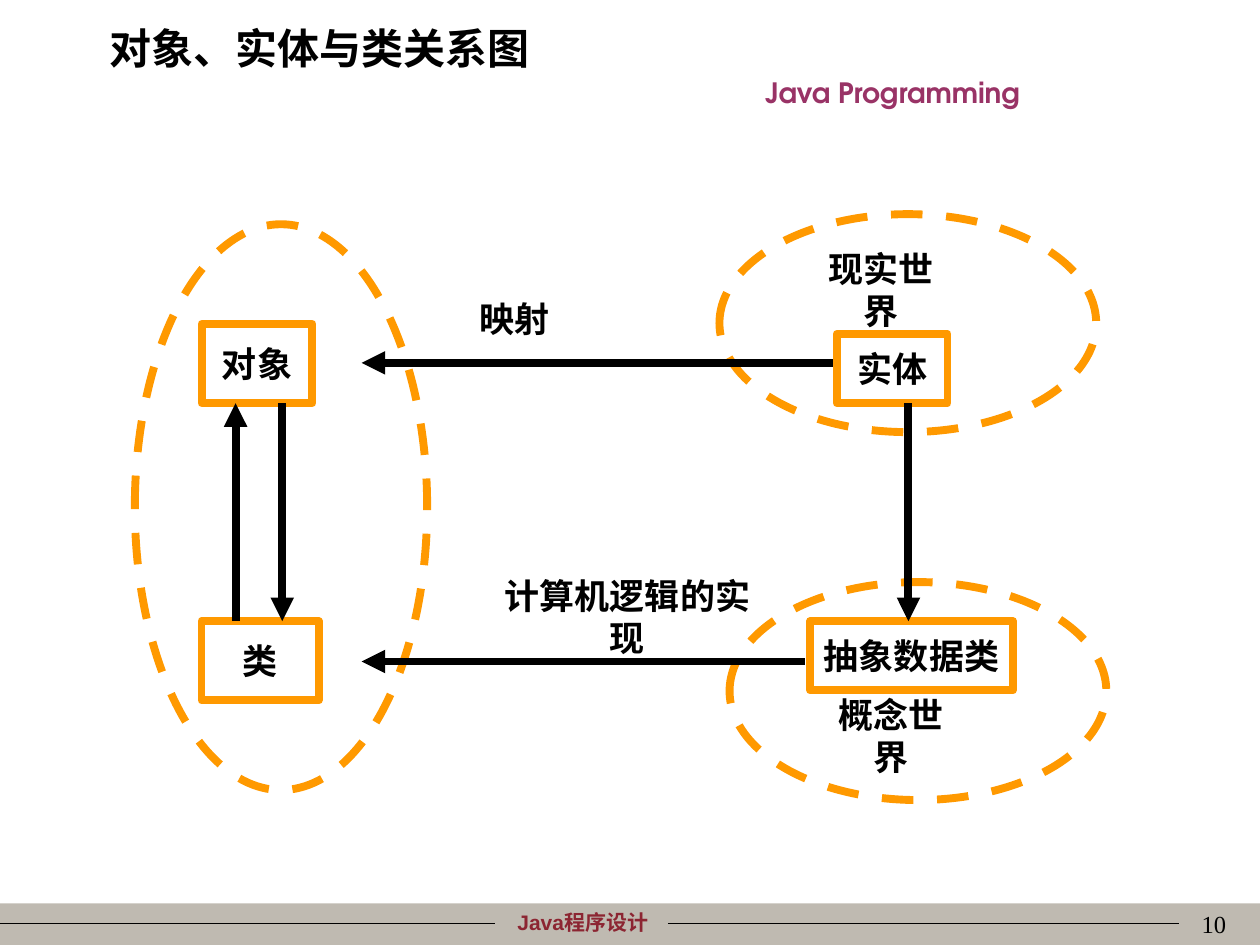
from lxml import etree
from pptx import Presentation
from pptx.dml.color import RGBColor
from pptx.enum.dml import MSO_LINE
from pptx.enum.shapes import MSO_CONNECTOR, MSO_SHAPE
from pptx.enum.text import MSO_ANCHOR, PP_ALIGN
from pptx.oxml.ns import qn
from pptx.util import Inches, Pt

STRAIGHT = MSO_CONNECTOR.STRAIGHT
OVAL, RECT = MSO_SHAPE.OVAL, MSO_SHAPE.RECTANGLE
DASH, MIDDLE = MSO_LINE.DASH, MSO_ANCHOR.MIDDLE
LEFT, CENTER, RIGHT = PP_ALIGN.LEFT, PP_ALIGN.CENTER, PP_ALIGN.RIGHT

CJK, SERIF = "Noto Sans CJK SC", "Times New Roman"
BLACK, ORANGE = "000000", "FF9900"
THICK, THIN = 4.5, 0.75

FOOTER_BAND = (0, 7.17, 10, 0.33)
FOOTER_RULES = [(0, 3.93), (5.3, 9.36)]
FOOTER_RULE_Y = 7.33
FRAME_TEXTS = [
    ("Java程序设计", (3.62, 7.17, 2.01, 0.3),
     dict(size=12, font="Arial", color="8C2532")),
    ("Java Programming", (5.08, 0.55, 4.01, 0.37),
     dict(size=16, font="TeX Gyre Adventor", color="993366")),
    ("10", (7.75, 7.17, 2.08, 0.33), dict(size=14, bold=False, align=RIGHT)),
    ("对象、实体与类关系图", (0.77, 0.13, 8.5, 0.5),
     dict(size=24, font=CJK, align=LEFT)),
]
WORLDS = [(5.79, 4.62, 2.99, 1.73), (5.71, 1.7, 2.99, 1.73), (1.07, 1.78, 2.32, 4.49)]
NODES = [
    ("抽象数据类", (6.43, 4.93, 1.61, 0.55)),
    ("实体", (6.64, 2.65, 0.88, 0.55)),
    ("对象", (1.6, 2.57, 0.88, 0.63)),
    ("类", (1.6, 4.93, 0.93, 0.63)),
]
LABELS = [
    ("概念世界", (6.43, 5.56, 1.28, 0.55)),
    ("现实世界", (6.35, 2.02, 1.28, 0.55)),
    ("计算机逻辑的实现", (3.77, 4.62, 2.42, 0.55)),
    ("映射", (3.69, 2.25, 0.79, 0.55)),
]
ARROWS = [
    ((7.21, 3.2), (7.21, 4.93)),
    ((2.24, 3.2), (2.24, 4.93)),
    ((1.87, 4.93), (1.87, 3.2)),
    ((6.39, 5.25), (2.87, 5.25)),
    ((6.61, 2.88), (2.87, 2.88)),
]


def rgb(color):
    """Return the colour of a hex string."""
    return RGBColor.from_string(color)


def write(shape, text, size=20, font=SERIF, color=BLACK, bold=True, align=CENTER, wrap=True):
    """Put one formatted paragraph into a shape."""
    frame = shape.text_frame
    frame.word_wrap = wrap
    frame.vertical_anchor = MIDDLE
    paragraph = frame.paragraphs[0]
    paragraph.alignment = align
    run = paragraph.add_run()
    run.text = text
    run.font.size, run.font.bold, run.font.name = Pt(size), bold, font
    run.font.color.rgb = rgb(color)
    etree.SubElement(run.font._element, qn("a:ea"), typeface=CJK)


def add_text(slide, text, place, **style):
    """Add a text box."""
    write(slide.shapes.add_textbox(*map(Inches, place)), text, **style)


def add_outline(slide, kind, place, fill=None, line=None, dash=None):
    """Add a preset shape with optional fill and outline."""
    shape = slide.shapes.add_shape(kind, *map(Inches, place))
    shape.shadow.inherit = False
    if fill:
        shape.fill.solid()
        shape.fill.fore_color.rgb = rgb(fill)
    else:
        shape.fill.background()
    if line:
        shape.line.color.rgb = rgb(line)
        shape.line.width = Pt(THICK)
        shape.line.dash_style = dash
    else:
        shape.line.fill.background()
    return shape


def add_line(slide, start, end, width, arrow=False):
    """Add a black line, with an arrowhead at its end if asked."""
    line = slide.shapes.add_connector(STRAIGHT, *map(Inches, start + end))
    line.line.color.rgb = rgb(BLACK)
    line.line.width = Pt(width)
    if arrow:
        etree.SubElement(line.line._get_or_add_ln(), qn("a:tailEnd"), type="triangle")
    etree.SubElement(line._element.spPr, qn("a:effectLst"))


def main():
    """Build the slide and save it."""
    deck = Presentation()
    deck.slide_width, deck.slide_height = Inches(10), Inches(7.5)
    slide = deck.slides.add_slide(deck.slide_layouts[6])

    add_outline(slide, RECT, FOOTER_BAND, fill="BFBAB1")
    for left, right in FOOTER_RULES:
        add_line(slide, (left, FOOTER_RULE_Y), (right, FOOTER_RULE_Y), THIN)
    for text, place, style in FRAME_TEXTS:
        add_text(slide, text, place, **style)

    for place in WORLDS:
        add_outline(slide, OVAL, place, line=ORANGE, dash=DASH)
    for text, place in NODES:
        write(add_outline(slide, RECT, place, line=ORANGE), text, wrap=False)
    for start, end in ARROWS:
        add_line(slide, start, end, THICK, arrow=True)
    for text, place in LABELS:
        add_text(slide, text, place, wrap=False)

    deck.save("out.pptx")


if __name__ == "__main__":
    main()
